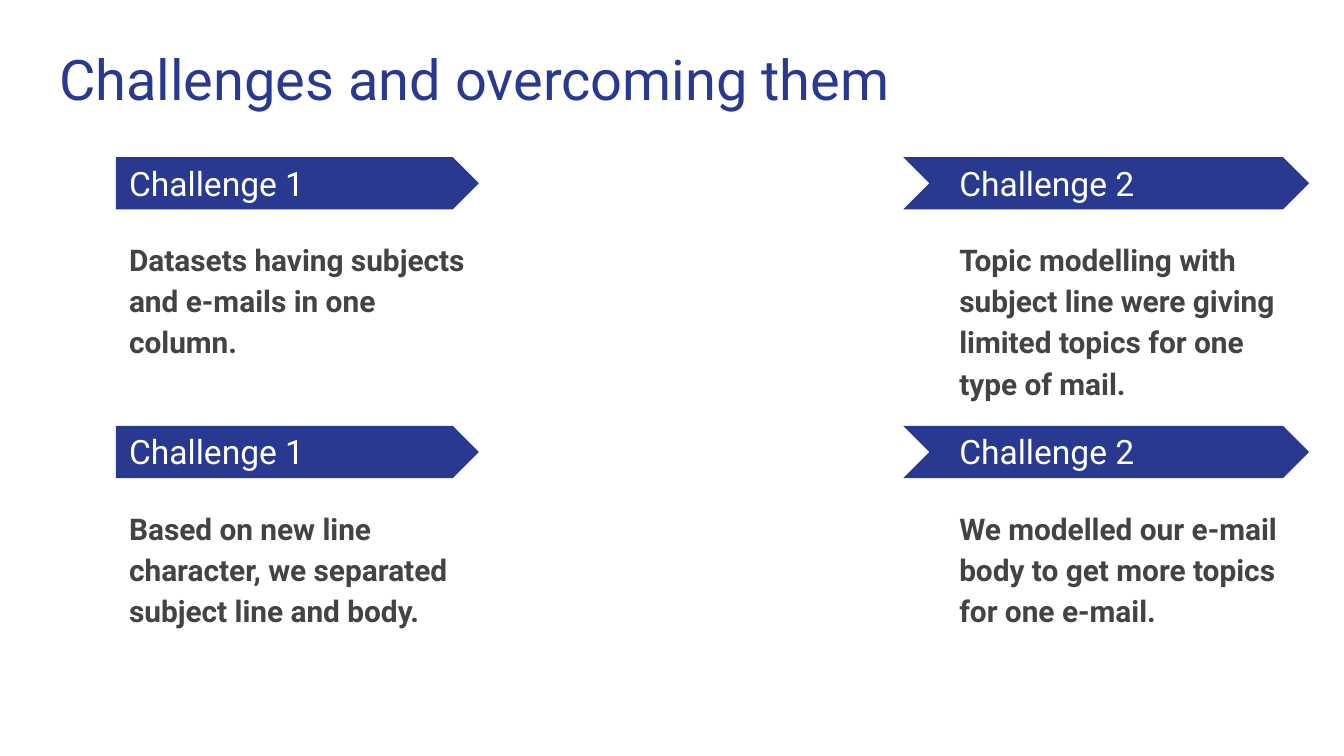
from dataclasses import dataclass

import pptx
import pptx.dml.color
import pptx.enum.shapes
import pptx.enum.text
import pptx.util
from pptx.util import Cm

ANCHOR = pptx.enum.text.MSO_ANCHOR
SHAPE = pptx.enum.shapes.MSO_SHAPE


@dataclass(frozen=True)
class Theme:
    font: str = "Roboto"
    accent: str = "2A3990"
    on_accent: str = "FFFFFF"
    body: str = "434343"
    title_size: int = 30
    label_size: int = 18
    body_size: int = 16


THEME = Theme()


def rgb(value):
    return pptx.dml.color.RGBColor.from_string(value)


def add_text(s, text, box, *, size, color, bold=False, anchor=ANCHOR.TOP,
             line_spacing=None, space_after=0):
    tf = s.shapes.add_textbox(*map(Cm, box)).text_frame
    tf.word_wrap = True
    tf.auto_size = pptx.enum.text.MSO_AUTO_SIZE.NONE
    tf.vertical_anchor = anchor
    tf.margin_left = tf.margin_right = tf.margin_top = tf.margin_bottom = Cm(0.25)
    p = tf.paragraphs[0]
    p.line_spacing = line_spacing
    p.space_after = pptx.util.Pt(space_after)
    r = p.add_run()
    r.text = text
    r.font.name = THEME.font
    r.font.size = pptx.util.Pt(size)
    r.font.bold = bold
    r.font.color.rgb = rgb(color)


def add_title(s, box, text):
    add_text(s, text, box, size=THEME.title_size, color=THEME.accent)


def add_challenge(s, box, label, body, banner, tail, space_after):
    """Arrow banner with its label, and the text below; tail extends the banner left."""
    x, y, w, h = box

    # Banner
    sp = s.shapes.add_shape(banner, Cm(x - tail), Cm(y), Cm(w + tail), Cm(0.99))
    sp.adjustments[0] = 0.5
    sp.shadow.inherit = False
    sp.fill.solid()
    sp.fill.fore_color.rgb = rgb(THEME.accent)
    sp.line.fill.background()

    # Label
    add_text(s, label, (x, y + 0.23, w - 0.59, 0.51), size=THEME.label_size,
             color=THEME.on_accent, anchor=ANCHOR.MIDDLE)

    # Description
    add_text(s, body, (x, y + 1.25, w, h - 1.25), size=THEME.body_size,
             color=THEME.body, bold=True, line_spacing=1.15, space_after=space_after)


def add_challenge_grid(s, box, rows):
    left, top, width, height = box
    cell_w, cell_h, row_step = 6.86, 5.57, 5.08
    columns = (
        (left, "Challenge 1", SHAPE.PENTAGON, 0, 0),
        (left + width - cell_w, "Challenge 2", SHAPE.CHEVRON, 0.81, 8),
    )
    for i, texts in enumerate(rows):
        for (x, label, banner, tail, space_after), body in zip(columns, texts):
            add_challenge(s, (x, top + i * row_step, cell_w, cell_h),
                          label, body, banner, tail, space_after)


def main():
    prs = pptx.Presentation()
    prs.slide_width, prs.slide_height = Cm(25.4), Cm(14.29)
    s = prs.slides.add_slide(prs.slide_layouts[6])

    add_title(s, (0.87, 0.59, 23.67, 1.68), "Challenges and overcoming them")
    # First row: problems; second row: solutions
    add_challenge_grid(s, (2.19, 2.97, 22.55, 10.65), (
        ("Datasets having subjects and e-mails in one column.",
         "Topic modelling with subject line were giving limited topics "
         "for one type of mail."),
        ("Based on new line character, we separated subject line and body.",
         "We modelled our e-mail body to get more topics for one e-mail."),
    ))
    prs.save("out.pptx")


if __name__ == "__main__":
    main()
